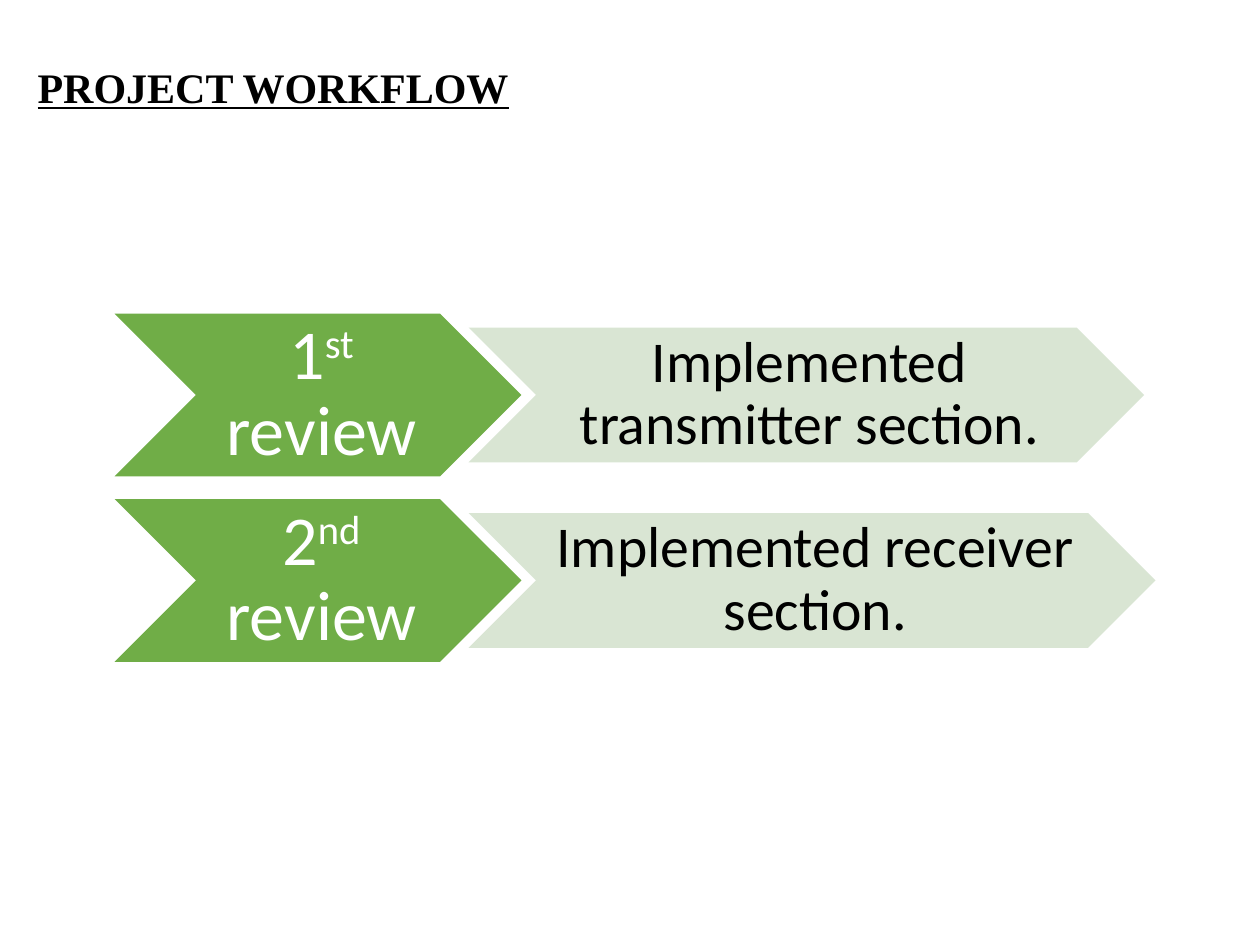
import dataclasses

import pptx
import pptx.dml.color
import pptx.enum.shapes
import pptx.enum.text
import pptx.oxml
import pptx.oxml.ns
import pptx.shapes.autoshape
import pptx.shapes.shapetree
import pptx.text.text
import pptx.util

Pt = pptx.util.Pt

COLORS = {"green": "70AD47", "pale": "D5E3CF", "white": "FFFFFF", "black": "000000"}
REVIEW_LEFT, REVIEW_WIDTH, REVIEW_HEIGHT = 65.5, 232.5, 93
DETAIL_LEFT, DETAIL_HEIGHT = 267.8, 77
FIRST_TOP, ROW_STEP = 179.2, 106


@dataclasses.dataclass
class Review:
    number: str
    suffix: str
    detail: str
    detail_width: float


@dataclasses.dataclass
class Area:
    left: float
    top: float
    width: float
    height: float

    def lengths(self) -> list[pptx.util.Length]:
        return [Pt(value) for value in (self.left, self.top, self.width, self.height)]


REVIEWS = [
    Review("1", "st", "Implemented transmitter section.", 386),
    Review("2", "nd", "Implemented receiver section.", 392.5),
]


def rgb(name: str) -> pptx.dml.color.RGBColor:
    return pptx.dml.color.RGBColor.from_string(COLORS[name])


def add_chevron(shapes: pptx.shapes.shapetree.GroupShapes, area: Area,
                color: str) -> pptx.shapes.autoshape.Shape:
    chevron = shapes.add_shape(pptx.enum.shapes.MSO_SHAPE.CHEVRON, *area.lengths())
    chevron.shadow.inherit = False
    chevron.fill.solid()
    chevron.fill.fore_color.rgb = rgb(color)
    chevron.line.fill.background()
    return chevron


def set_alpha(shape: pptx.shapes.autoshape.Shape, percent: int) -> None:
    """Make a solid fill partly transparent."""
    color = shape.element.spPr.find(".//" + pptx.oxml.ns.qn("a:srgbClr"))
    namespace = pptx.oxml.ns.nsdecls("a")
    color.append(pptx.oxml.parse_xml(f'<a:alpha {namespace} val="{percent * 1000}"/>'))


def add_label(shapes: pptx.shapes.shapetree.GroupShapes, area: Area, parts: list[str],
              size: float, color: str, inset: float) -> pptx.text.text._Paragraph:
    """Centre text in the part of a chevron between its notch and its point."""
    notch = area.height / 2
    inner = Area(area.left + notch, area.top, area.width - area.height, area.height)
    frame = shapes.add_textbox(*inner.lengths()).text_frame
    frame.word_wrap = True
    frame.vertical_anchor = pptx.enum.text.MSO_ANCHOR.MIDDLE
    frame.margin_left, frame.margin_right = Pt(inset), Pt(0)
    frame.margin_top = frame.margin_bottom = Pt(inset / 2)
    para = frame.paragraphs[0]
    para.alignment = pptx.enum.text.PP_ALIGN.CENTER
    para.line_spacing = 0.9
    for part in parts:
        span = para.add_run()
        span.text = part
        span.font.name = "Calibri"
        span.font.size = Pt(size)
        span.font.color.rgb = rgb(color)
    return para


def add_review(shapes: pptx.shapes.shapetree.GroupShapes, review: Review,
               top: float) -> None:
    area = Area(REVIEW_LEFT, top, REVIEW_WIDTH, REVIEW_HEIGHT)
    add_chevron(shapes, area, "green")
    para = add_label(shapes, area, [review.number, review.suffix, " review"], 40, "white", 4)
    para.runs[1].font._element.set("baseline", "30000")

    detail_top = top + (REVIEW_HEIGHT - DETAIL_HEIGHT) / 2
    area = Area(DETAIL_LEFT, detail_top, review.detail_width, DETAIL_HEIGHT)
    set_alpha(add_chevron(shapes, area, "pale"), 90)
    add_label(shapes, area, [review.detail], 33, "black", 3.5)


def add_title(shapes: pptx.shapes.shapetree.SlideShapes, text: str) -> None:
    frame = shapes.add_textbox(*Area(14.4, 34.6, 793.4, 90.7).lengths()).text_frame
    frame.word_wrap = True
    frame.text = text
    para = frame.paragraphs[0]
    para.line_spacing = 0.9
    font = para.runs[0].font
    font.name = "Times New Roman"
    font.size = Pt(24)
    font.bold = font.underline = True
    font.color.rgb = rgb("black")


def main() -> None:
    deck = pptx.Presentation()
    deck.slide_width, deck.slide_height = Pt(720), Pt(540)
    page = deck.slides.add_slide(deck.slide_layouts[6])
    add_title(page.shapes, "PROJECT WORKFLOW")
    workflow = page.shapes.add_group_shape()
    for row, review in enumerate(REVIEWS):
        add_review(workflow.shapes, review, FIRST_TOP + row * ROW_STEP)
    deck.save("out.pptx")


if __name__ == "__main__":
    main()
